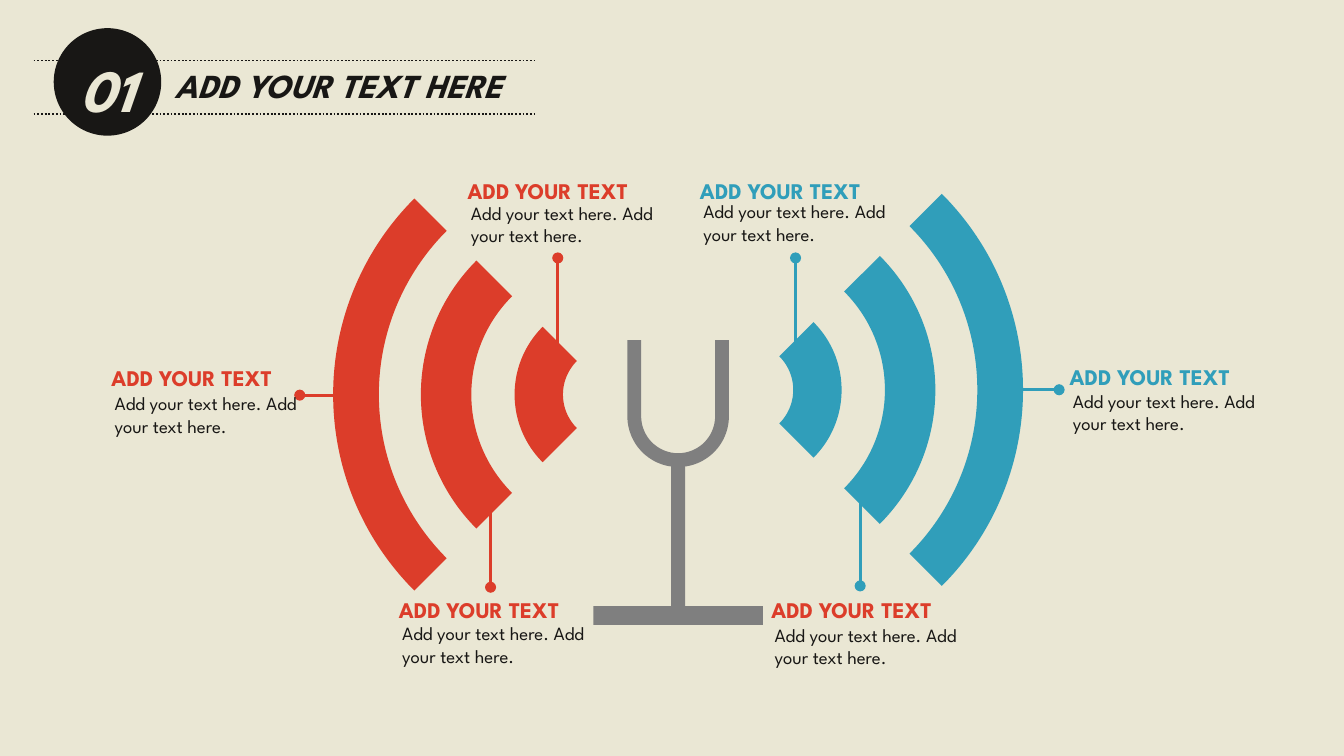
from dataclasses import dataclass
from math import acos, cos, degrees, radians, sin

from lxml.etree import SubElement
from pptx import Presentation
from pptx.dml.color import RGBColor
from pptx.enum.dml import MSO_LINE
from pptx.enum.shapes import MSO_CONNECTOR, MSO_SHAPE
from pptx.enum.text import MSO_ANCHOR, MSO_AUTO_SIZE, PP_ALIGN
from pptx.oxml.ns import qn
from pptx.util import Pt


@dataclass(frozen=True)
class Theme:
    font: str = "League Spartan"
    cream: RGBColor = RGBColor(0xEA, 0xE7, 0xD4)
    ink: RGBColor = RGBColor(0x18, 0x17, 0x15)
    red: RGBColor = RGBColor(0xDC, 0x3D, 0x2A)
    blue: RGBColor = RGBColor(0x30, 0x9E, 0xBA)
    gray: RGBColor = RGBColor(0x7F, 0x7F, 0x7F)
    number_size: int = 32
    title_size: int = 18
    heading_size: int = 12
    body_size: int = 10


THEME = Theme()

# Outer radius and thickness of each sound wave
WAVES = [(148.5, 24.5), (101.5, 27), (51.3, 25.9)]

# Start on a wave, end at the dot, colour
LEADERS = [
    (262.8, 260.6, 262.8, 314.6, THEME.red),
    (298.8, 188.6, 298.8, 138.2, THEME.red),
    (426.2, 188.6, 426.2, 138.2, THEME.blue),
    (460.8, 263.5, 460.8, 313.9, THEME.blue),
    (532.1, 208.8, 567.4, 208.8, THEME.blue),
    (187.9, 211.7, 160.6, 211.7, THEME.red),
]

# Heading left and top, drop to the body text, heading colour
CALLOUTS = [
    (243.4, 91.4, 13, THEME.red),
    (367.9, 91.4, 12.2, THEME.blue),
    (52.6, 191.5, 15.1, THEME.red),
    (206.6, 316.1, 13.7, THEME.red),
    (406.1, 316.1, 14.4, THEME.red),
    (565.9, 190.8, 14.4, THEME.blue),
]


def write(box, text, size, color, bold=False, italic=False, wrap=False):
    frame = box.text_frame
    frame.text = text
    frame.word_wrap = wrap
    frame.auto_size = MSO_AUTO_SIZE.NONE
    frame.vertical_anchor = MSO_ANCHOR.TOP
    para = frame.paragraphs[0]
    para.alignment = PP_ALIGN.LEFT
    font = para.runs[0].font
    font.name, font.size = THEME.font, Pt(size)
    font.bold, font.italic = bold, italic
    font.color.rgb = color


def add_text(page, left, top, width, height, text, size, color, **style):
    box = page.shapes.add_textbox(Pt(left), Pt(top), Pt(width), Pt(height))
    write(box, text, size, color, **style)


def paint(shape, color):
    shape.shadow.inherit = False
    shape.fill.solid()
    shape.fill.fore_color.rgb = color
    shape.line.fill.background()


def add_line(page, x1, y1, x2, y2, color, width):
    line = page.shapes.add_connector(
        MSO_CONNECTOR.STRAIGHT, Pt(x1), Pt(y1), Pt(x2), Pt(y2))
    line.line.color.rgb = color
    line.line.width = Pt(width)
    SubElement(line._element.spPr, qn("a:effectLst"))
    return line


def add_leader(page, x1, y1, x2, y2, color):
    """Draw a line that ends in a round dot."""
    leader = add_line(page, x1, y1, x2, y2, color, 1.5)
    outline = leader.line._get_or_add_ln()
    SubElement(outline, qn("a:tailEnd"), type="oval")


def add_waves(page, center_x, center_y, start, end, color):
    """Draw concentric arcs clockwise between two angles in degrees."""
    for radius, thickness in WAVES:
        arc = page.shapes.add_shape(
            MSO_SHAPE.BLOCK_ARC, Pt(center_x - radius), Pt(center_y - radius),
            Pt(2 * radius), Pt(2 * radius))
        # Angles count in 60000ths of a degree, adjustments in 100000ths
        arc.adjustments[0] = start * 0.6
        arc.adjustments[1] = end * 0.6
        arc.adjustments[2] = thickness / (2 * radius)
        paint(arc, color)


def arc_points(radius, center_y, start, end, steps=24):
    angles = [radians(start + (end - start) * i / steps) for i in range(steps + 1)]
    return [(radius * cos(a), center_y + radius * sin(a)) for a in angles]


def add_tuning_fork(page):
    """Trace the right half from the axis, then mirror it."""
    axis, top, bend_y = 363.3, 182.2, 223
    inner, outer, stem, base = 19.8, 27.2, 3.7, 45.4
    base_top, base_bottom = 324.7, 334.8
    half = arc_points(inner, bend_y, 90, 0)
    half += [(inner, top), (outer, top)]
    half += arc_points(outer, bend_y, 0, degrees(acos(stem / outer)))
    half += [(stem, base_top), (base, base_top), (base, base_bottom)]
    outline = half + [(-x, y) for x, y in reversed(half)]
    points = [(Pt(axis + x), Pt(y)) for x, y in outline]
    builder = page.shapes.build_freeform(*points[0])
    builder.add_line_segments(points[1:], close=True)
    paint(builder.convert_to_shape(), THEME.gray)


def add_header(page):
    for y in (32.4, 61.2):
        rule = add_line(page, 18, y, 286.6, y, THEME.ink, 1)
        rule.line.dash_style = MSO_LINE.ROUND_DOT
    badge = page.shapes.add_shape(
        MSO_SHAPE.OVAL, Pt(28.8), Pt(15.1), Pt(57.6), Pt(57.6))
    paint(badge, THEME.ink)
    title = page.shapes.title
    title.left, title.top = Pt(86.4), Pt(31)
    title.width, title.height = Pt(193.7), Pt(28.8)
    write(title, "ADD YOUR TEXT HERE", THEME.title_size, THEME.ink,
          bold=True, italic=True)
    add_text(page, 35.3, 24.5, 49.7, 46.1, "01", THEME.number_size,
             THEME.cream, bold=True, italic=True)


def add_callout(page, left, top, drop, color):
    add_text(page, left, top, 109.4, 21.6, "ADD YOUR TEXT",
             THEME.heading_size, color, bold=True)
    add_text(page, left + 1.8, top + drop, 117.4, 31.7,
             "Add your text here. Add your text here.",
             THEME.body_size, THEME.ink, wrap=True)


def main():
    deck = Presentation()
    deck.slide_width, deck.slide_height = Pt(720), Pt(405)
    page = deck.slides.add_slide(deck.slide_layouts.get_by_name("Title Only"))
    page.background.fill.solid()
    page.background.fill.fore_color.rgb = THEME.cream

    add_header(page)
    add_waves(page, 399.6, 208.9, 315, 45, THEME.blue)
    add_waves(page, 327, 211.4, 135, 225, THEME.red)
    add_tuning_fork(page)
    for leader in LEADERS:
        add_leader(page, *leader)
    for callout in CALLOUTS:
        add_callout(page, *callout)
    deck.save("out.pptx")


if __name__ == "__main__":
    main()
